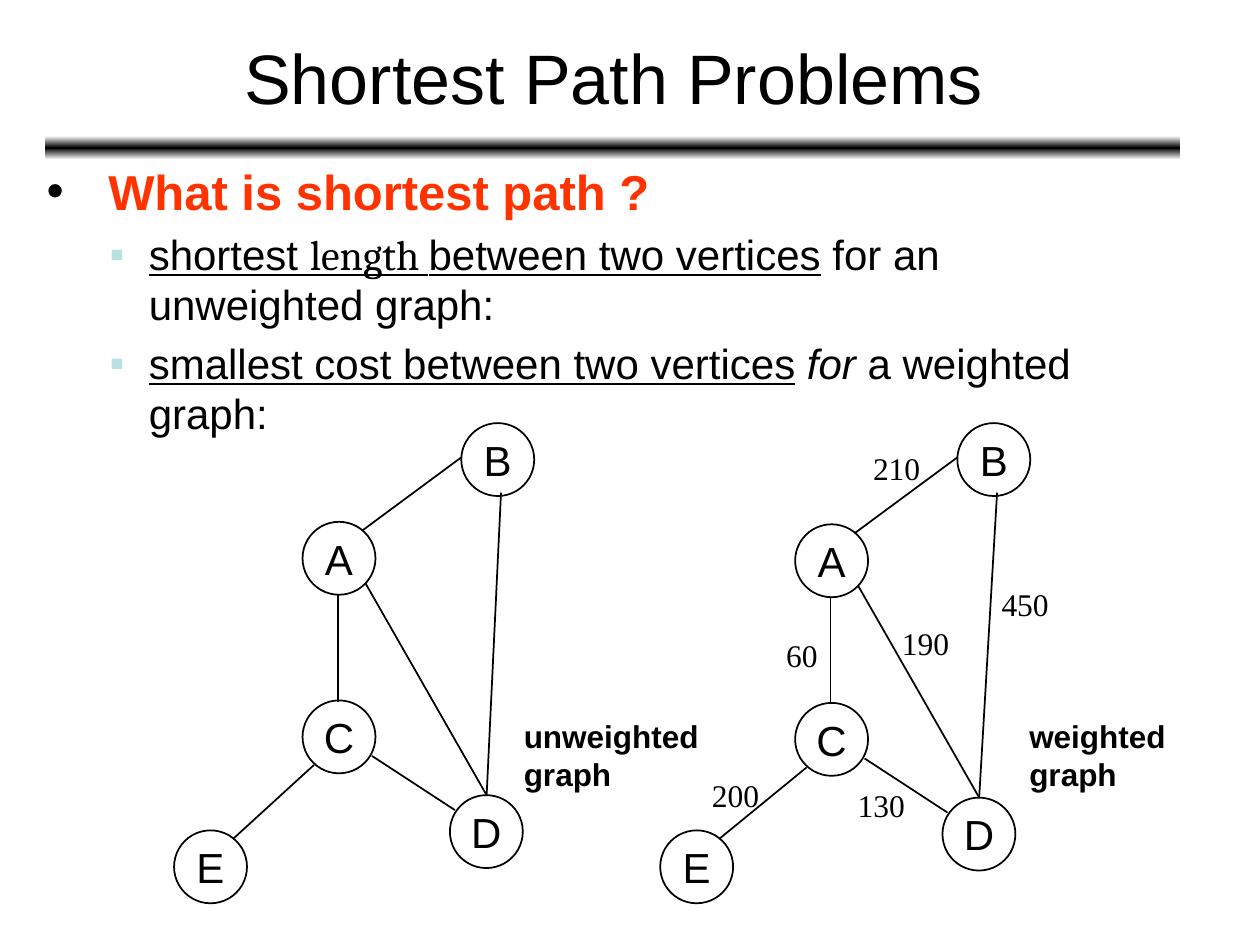
from copy import deepcopy

from pptx import Presentation
from pptx.dml.color import RGBColor
from pptx.enum.shapes import MSO_CONNECTOR, MSO_SHAPE
from pptx.enum.text import MSO_ANCHOR, PP_ALIGN
from pptx.oxml.ns import qn
from pptx.util import Cm, Pt
from lxml.etree import SubElement

COLORS = {"ink": "000000", "paper": "FFFFFF", "heading": "FF3300", "bullet": "BBE0E3"}
SANS, SERIF, MATH = "Arial", "Times New Roman", "Cambria"
NODE_SIZE = 1.47

# Node positions (left, top) in centimetres
UNWEIGHTED_NODES = {"B": (9.3, 8.53), "D": (9.07, 16.03), "C": (6.1, 14.12),
                    "A": (6.1, 10.52), "E": (3.51, 16.74)}
WEIGHTED_NODES = {"B": (19.3, 8.53), "D": (19, 16.08), "C": (16.03, 14.17),
                  "A": (16.03, 10.57), "E": (13.31, 16.74)}

# Each edge end: node and attachment point measured from the node's corner
EDGES = [
    (("D", 0.74, 0), ("B", 0.8, 1.4)),
    (("A", 1.21, 0.17), ("B", 0, 0.69)),
    (("A", 1.27, 1.24), ("D", 0.74, 0)),
    (("C", 0.71, 0.03), ("A", 0.71, 1.47)),
    (("E", 1.19, 0.17), ("C", 0.23, 1.3)),
    (("C", 1.4, 1.12), ("D", 0.1, 0.3)),
]

WEIGHTS = [("200", 14.1, 15.52), ("60", 15.6, 12.7), ("130", 17.04, 15.72),
           ("190", 17.93, 12.45), ("450", 19.94, 11.66), ("210", 17.35, 8.92)]


def color(name):
    return RGBColor.from_string(COLORS[name])


def format_run(run, size, font=SANS, ink="ink", bold=False):
    run.font.size = Pt(size)
    run.font.name = font
    run.font.color.rgb = color(ink)
    run.font.bold = bold


def add_text(slide, text, left, top, width, height, size, font=SANS, bold=False, wrap=True):
    box = slide.shapes.add_textbox(Cm(left), Cm(top), Cm(width), Cm(height))
    box.text_frame.word_wrap = wrap
    box.text_frame.text = text
    format_run(box.text_frame.paragraphs[0].runs[0], size, font, bold=bold)
    return box.text_frame


def add_title(slide, text):
    frame = add_text(slide, text, 0.94, 0.28, 22.86, 2.51, 40)
    frame.vertical_anchor = MSO_ANCHOR.MIDDLE
    frame.paragraphs[0].alignment = PP_ALIGN.CENTER


def add_divider(slide):
    bar = slide.shapes.add_shape(MSO_SHAPE.ROUNDED_RECTANGLE,
                                 Cm(0.91), Cm(2.74), Cm(22.89), Cm(0.48))
    bar.shadow.inherit = False
    bar.line.fill.background()
    bar.fill.gradient()
    bar.fill.gradient_angle = 90
    first, last = bar.fill.gradient_stops
    first.color.rgb = last.color.rgb = color("paper")
    first.position, last.position = 0, 1
    # Dark middle stop between the two light ends
    stops = bar.fill._fill._gradFill.find(qn("a:gsLst"))
    stops.insert(1, deepcopy(stops[0]))
    middle = bar.fill.gradient_stops[1]
    middle.color.rgb = color("ink")
    middle.position = 0.5


def set_bullet(paragraph, character, ink, margin, hanging):
    properties = paragraph._p.get_or_add_pPr()
    properties.set("marL", str(Cm(margin)))
    properties.set("indent", str(-Cm(hanging)))
    bullet_color = SubElement(properties, qn("a:buClr"))
    SubElement(bullet_color, qn("a:srgbClr")).set("val", COLORS[ink])
    SubElement(properties, qn("a:buFont")).set("typeface", SANS)
    SubElement(properties, qn("a:buChar")).set("char", character)


def add_definition(frame, parts):
    """Add a second-level bullet from (text, style) parts."""
    paragraph = frame.add_paragraph()
    paragraph.level = 1
    paragraph.space_before = Pt(4.8)
    set_bullet(paragraph, "▪", "bullet", 2.06, 0.79)
    for text, style in parts:
        run = paragraph.add_run()
        run.text = text
        format_run(run, 24, style.get("font", SANS))
        run.font.underline = style.get("underline", False)
        run.font.italic = style.get("italic", False)


def add_body(slide):
    frame = add_text(slide, " What is shortest path ?", 0.69, 1.73, 23.01, 11.43, 28, bold=True)
    frame.margin_top = Cm(1.52)
    heading = frame.paragraphs[0]
    heading.space_before = Pt(0)
    heading.runs[0].font.color.rgb = color("heading")
    set_bullet(heading, "•", "ink", 0.97, 0.97)
    add_definition(frame, [
        ("shortest ", {"underline": True}),
        ("length ", {"underline": True, "font": MATH}),
        ("between two vertices", {"underline": True}),
        (" for an unweighted graph:", {}),
    ])
    add_definition(frame, [
        ("smallest cost between two vertices", {"underline": True}),
        (" for", {"italic": True}),
        (" a weighted graph:", {}),
    ])


def add_node(slide, name, left, top):
    node = slide.shapes.add_shape(MSO_SHAPE.OVAL, Cm(left), Cm(top), Cm(NODE_SIZE), Cm(NODE_SIZE))
    node.shadow.inherit = False
    node.fill.background()
    node.line.color.rgb = color("ink")
    node.line.width = Pt(1)
    frame = node.text_frame
    frame.word_wrap = False
    frame.vertical_anchor = MSO_ANCHOR.MIDDLE
    frame.text = name
    frame.paragraphs[0].alignment = PP_ALIGN.CENTER
    format_run(frame.paragraphs[0].runs[0], 24)


def add_edge(slide, nodes, start, end):
    points = []
    for name, across, down in (start, end):
        left, top = nodes[name]
        points += [Cm(left + across), Cm(top + down)]
    edge = slide.shapes.add_connector(MSO_CONNECTOR.STRAIGHT, *points)
    edge.line.color.rgb = color("ink")
    edge.line.width = Pt(1)
    SubElement(edge._element.spPr, qn("a:effectLst"))


def add_graph(slide, nodes):
    for name, (left, top) in nodes.items():
        add_node(slide, name, left, top)
    for start, end in EDGES:
        add_edge(slide, nodes, start, end)


def main():
    presentation = Presentation()
    presentation.slide_width, presentation.slide_height = Cm(25.4), Cm(19.05)
    slide = presentation.slides.add_slide(presentation.slide_layouts[6])

    # Heading and definitions
    add_divider(slide)
    add_body(slide)
    add_title(slide, "Shortest Path Problems")

    # Graphs
    add_graph(slide, UNWEIGHTED_NODES)
    add_graph(slide, WEIGHTED_NODES)

    # Edge weights and captions
    for weight, left, top in WEIGHTS:
        add_text(slide, weight, left, top, 0.51 + 0.32 * len(weight), 1.02, 18, SERIF, wrap=False)
    add_text(slide, "weighted graph", 20.5, 14.33, 3.99, 1.78, 18, bold=True)
    add_text(slide, "unweighted graph", 10.31, 14.33, 4.19, 1.78, 18, bold=True)

    presentation.save("out.pptx")


if __name__ == "__main__":
    main()
